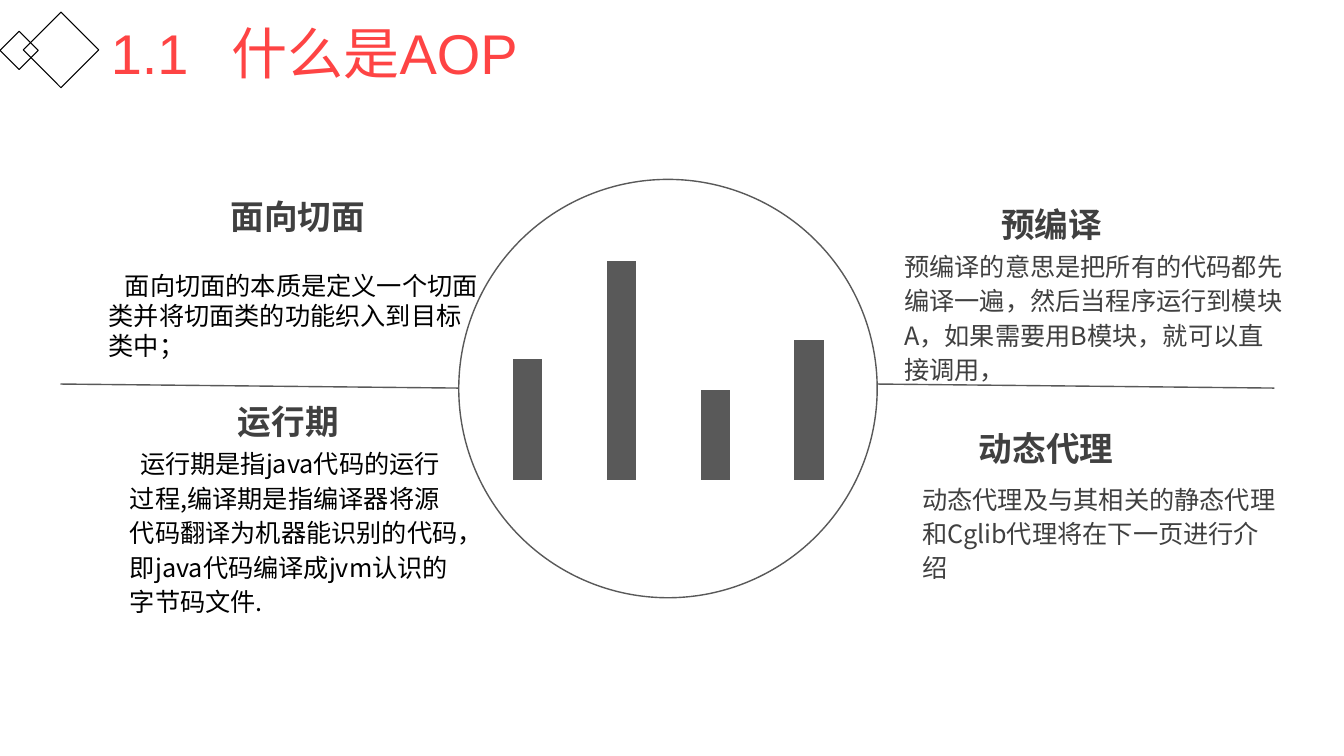
from dataclasses import dataclass

import lxml.etree
import pptx
import pptx.chart.data
import pptx.dml.color
import pptx.enum.chart
import pptx.enum.shapes
import pptx.oxml
import pptx.oxml.ns
import pptx.util

Inches = pptx.util.Inches
Pt = pptx.util.Pt
SHAPE = pptx.enum.shapes.MSO_SHAPE
qn = pptx.oxml.ns.qn

COLORS = {"title": "FE4444", "heading": "404040", "line": "595959", "black": "000000"}
LATIN = "Arial"
CJK = "Noto Sans CJK JP"


@dataclass
class TextItem:
    box: tuple[float, float, float, float]
    text: str
    size: float
    color: str
    font: str = CJK
    bold: bool = False
    spacing: float = 1.0
    indent: float = 0.0
    tab: float = 0.0


@dataclass
class Outline:
    kind: int
    box: tuple[float, float, float, float]
    color: str
    width: float


@dataclass
class Rule:
    start: tuple[float, float]
    end: tuple[float, float]


def heading(left: float, top: float, width: float, text: str, indent: float) -> TextItem:
    return TextItem((left, top, width, 0.58), text, 24, "heading", LATIN, True, 1.2, indent)


OUTLINES = [
    Outline(SHAPE.OVAL, (4.55, 1.78, 4.15, 4.15), "line", 1),
    Outline(SHAPE.DIAMOND, (0.23, 0.12, 0.75, 0.75), "black", 0),
    Outline(SHAPE.DIAMOND, (0, 0.31, 0.38, 0.38), "black", 0),
]
RULES = [Rule((4.55, 3.85), (0.6, 3.81)), Rule((12.64, 3.85), (8.7, 3.81))]
TEXTS = [
    TextItem((1, 0.13, 4.98, 0.77), "1.1\t什么是AOP", 40, "title", LATIN, tab=1.2),
    heading(9.44, 1.89, 2.45, "预编译", 0.39),
    heading(1.67, 1.81, 2.66, "面向切面", 0.52),
    heading(9.4, 4.12, 2.45, "动态代理", 0.21),
    heading(1.67, 3.85, 2.45, "运行期", 0.59),
    TextItem((8.87, 2.4, 4, 1.48),
             "预编译的意思是把所有的代码都先编译一遍，然后当程序运行到模块A，"
             "如果需要用B模块，就可以直接调用，", 18, "heading", spacing=1.14),
    TextItem((9.05, 4.71, 3.74, 1.13),
             "动态代理及与其相关的静态代理和Cglib代理将在下一页进行介绍",
             18, "heading", spacing=1.14),
    TextItem((1.19, 4.36, 3.51, 1.82),
             "运行期是指java代码的运行过程,编译期是指编译器将源代码翻译为"
             "机器能识别的代码，即java代码编译成jvm认识的字节码文件.",
             18, "black", spacing=1.14, indent=0.1),
    TextItem((0.98, 2.63, 3.87, 1.01),
             "面向切面的本质是定义一个切面类并将切面类的功能织入到目标类中；",
             18, "black", indent=0.16),
]
BARS = {"1": 55, "2": 100, "3": 41, "4": 64}
CHART_BOX = (4.69, 2.23, 3.88, 2.58)
PLOT_LAYOUT = {"x": 0.02, "y": 0.14, "w": 0.96, "h": 0.84}


def rgb(name: str) -> pptx.dml.color.RGBColor:
    return pptx.dml.color.RGBColor.from_string(COLORS[name])


def draw_outline(slide, item: Outline) -> None:
    sp = slide.shapes.add_shape(item.kind, *map(Inches, item.box))
    sp.shadow.inherit = False
    sp.fill.background()
    sp.line.color.rgb = rgb(item.color)
    sp.line.width = Pt(item.width)


def draw_rule(slide, item: Rule) -> None:
    ln = slide.shapes.add_connector(
        pptx.enum.shapes.MSO_CONNECTOR.STRAIGHT, *map(Inches, item.start + item.end))
    ln.line.color.rgb = rgb("line")
    ln.line.width = Pt(1)
    lxml.etree.SubElement(ln._element.spPr, qn("a:effectLst"))


def draw_text(slide, item: TextItem) -> None:
    tf = slide.shapes.add_textbox(*map(Inches, item.box)).text_frame
    tf.word_wrap = True
    p = tf.paragraphs[0]
    p.line_spacing = item.spacing
    pPr = p._p.get_or_add_pPr()
    if item.indent:
        pPr.set("marL", "0")
        pPr.set("indent", str(Inches(item.indent)))
    if item.tab:
        tabs = lxml.etree.SubElement(pPr, qn("a:tabLst"))
        lxml.etree.SubElement(tabs, qn("a:tab"), pos=str(Inches(item.tab)), algn="l")
    r = p.add_run()
    r.text = item.text
    r.font.size = Pt(item.size)
    r.font.bold = item.bold
    r.font.color.rgb = rgb(item.color)
    r.font.name = item.font
    lxml.etree.SubElement(r._r.get_or_add_rPr(), qn("a:ea"), typeface=CJK)


def set_plot_layout(chart) -> None:
    plot_area = chart._chartSpace.chart.plotArea
    for old in plot_area.findall(qn("c:layout")):
        plot_area.remove(old)
    layout = lxml.etree.Element(qn("c:layout"))
    plot_area.insert(0, layout)
    manual = lxml.etree.SubElement(layout, qn("c:manualLayout"))
    settings = {"layoutTarget": "inner", "xMode": "edge", "yMode": "edge", **PLOT_LAYOUT}
    for tag, value in settings.items():
        lxml.etree.SubElement(manual, qn(f"c:{tag}"), val=str(value))


def draw_chart(slide) -> None:
    data = pptx.chart.data.CategoryChartData()
    data.categories = list(BARS)
    data.add_series("Series 1", list(BARS.values()))
    chart = slide.shapes.add_chart(
        pptx.enum.chart.XL_CHART_TYPE.COLUMN_CLUSTERED, *map(Inches, CHART_BOX), data).chart
    chart.has_legend = False
    chart.has_title = False
    chart.font.name = LATIN
    chart.font.size = Pt(10)
    chart.font.color.rgb = rgb("black")
    chart.category_axis.visible = False
    axis = chart.value_axis
    axis.visible = False
    axis.has_major_gridlines = False
    axis.minimum_scale = 0
    axis.maximum_scale = 100
    plot = chart.plots[0]
    plot.gap_width = 219
    plot.overlap = -27
    plot.vary_by_categories = False
    fill = plot.series[0].format.fill
    fill.solid()
    fill.fore_color.rgb = rgb("line")
    set_plot_layout(chart)


def main() -> None:
    prs = pptx.Presentation()
    prs.slide_width = Inches(13.33)
    prs.slide_height = Inches(7.5)
    slide = prs.slides.add_slide(prs.slide_layouts[6])
    for outline in OUTLINES:
        draw_outline(slide, outline)
    for rule in RULES:
        draw_rule(slide, rule)
    draw_chart(slide)
    for item in TEXTS:
        draw_text(slide, item)
    prs.save("out.pptx")


if __name__ == "__main__":
    main()
